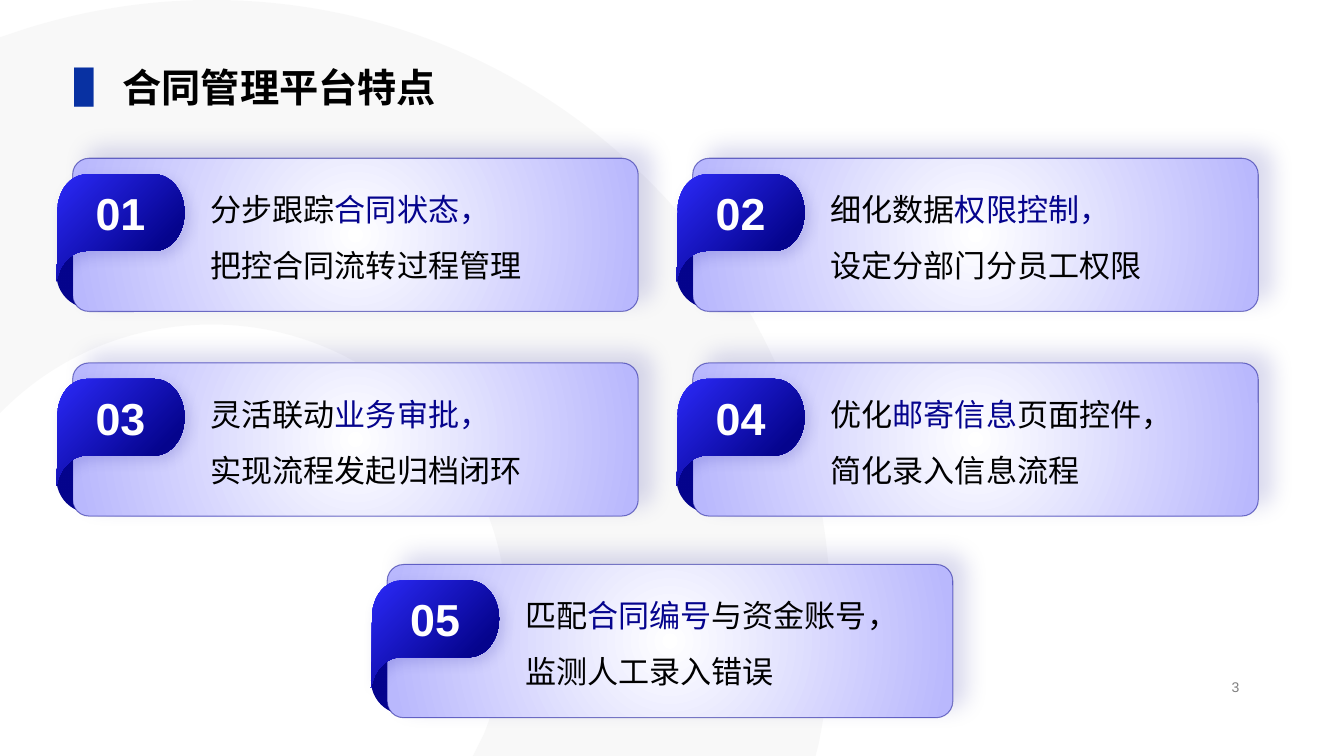
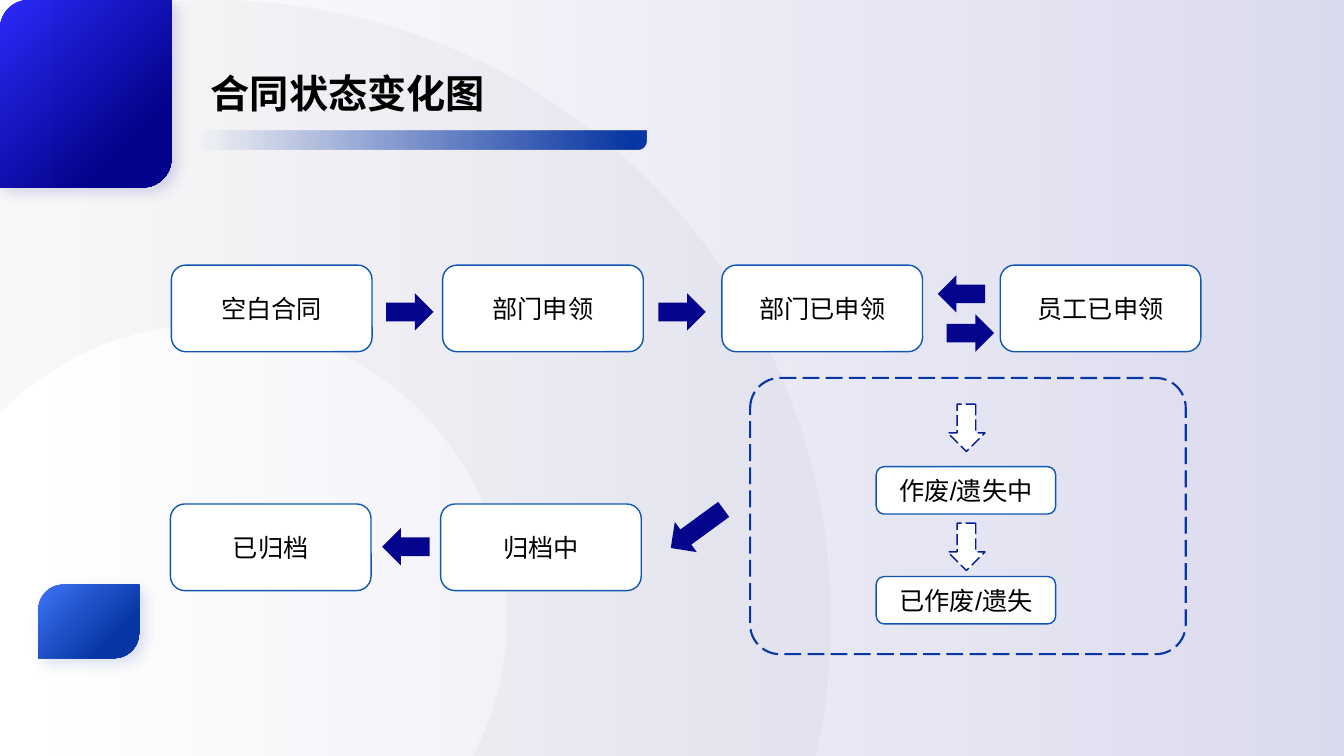
from dataclasses import dataclass

from pptx import Presentation
from pptx.dml.color import RGBColor
from pptx.enum.dml import MSO_LINE
from pptx.enum.shapes import MSO_SHAPE
from pptx.enum.text import MSO_ANCHOR, MSO_AUTO_SIZE, PP_ALIGN
from pptx.oxml import parse_xml
from pptx.oxml.ns import nsdecls, qn
from pptx.util import Pt

PX = 9144
WIDE, HIGH = 1333, 750
ROUND = MSO_SHAPE.ROUNDED_RECTANGLE
LEAF = MSO_SHAPE.ROUND_2_DIAG_RECTANGLE
ARROW = MSO_SHAPE.RIGHT_ARROW
DASH = MSO_LINE.LONG_DASH
LEFT, MID, RIGHT = PP_ALIGN.LEFT, PP_ALIGN.CENTER, PP_ALIGN.RIGHT
TOP, CENTER = MSO_ANCHOR.TOP, MSO_ANCHOR.MIDDLE
FIXED = MSO_AUTO_SIZE.NONE

BLACK = RGBColor(0x00, 0x00, 0x00)
WHITE = RGBColor(0xFF, 0xFF, 0xFF)
GRAY = RGBColor(0x80, 0x80, 0x80)
NAVY = RGBColor(0x05, 0x04, 0x8D)
VIVID = RGBColor(0x2C, 0x2A, 0xF9)
LILAC = RGBColor(0xB9, 0xB8, 0xFD)
ROYAL = RGBColor(0x08, 0x36, 0xA4)
SKY = RGBColor(0x3E, 0x74, 0xF6)
MARK = RGBColor(0x08, 0x31, 0xA2)
EDGE = RGBColor(0x10, 0x57, 0xB3)
INK = RGBColor(0x06, 0x1E, 0x99)

LATIN, HAN = "Arial", "Noto Sans CJK SC"
HEAD = {"name": LATIN, "size": Pt(28), "bold": True}
BODY = {"name": LATIN, "size": Pt(22.2)}
LABEL = {"name": LATIN, "size": Pt(18)}
NUMBER = {"name": LATIN, "size": Pt(32), "bold": True}
SMALL = {"name": LATIN, "size": Pt(10)}

RING = (
    (210, 0), (549, 0, 824, 275, 824, 614), (824, 657, 820, 698, 812, 738),
    (809, 750), (469, 750), (480, 728), (494, 693, 503, 655, 503, 614),
    (503, 453, 371, 322, 210, 322), (129, 322, 56, 354, 3, 407),
    (0, 410), (0, 37), (27, 28), (85, 10, 146, 0, 210, 0),
)
BADGE = (
    (30, 0), (97, 0), (114, 0, 127, 17, 127, 38), (127, 38),
    (127, 59, 114, 76, 97, 76), (30, 76), (30, 76), (17, 76, 6, 86, 2, 99),
    (0, 106), (1, 85, 1, 63, 1, 42), (2, 37, 0, 32, 3, 23), (7, 9, 18, 0, 30, 0),
)


@dataclass(frozen=True)
class Stop:
    pos: int
    color: RGBColor
    alpha: int = 100


@dataclass(frozen=True)
class Shade:
    color: RGBColor
    blur: int
    dist: int
    angle: int


@dataclass(frozen=True)
class Card:
    x: int
    y: int
    lead: str
    key: str
    rest: str
    foot: str


@dataclass(frozen=True)
class Step:
    x: int
    y: int
    text: str
    w: int = 199
    h: int = 86


@dataclass(frozen=True)
class Move:
    x: int
    y: int
    turn: float = 0
    w: int = 47
    open: bool = False


ROWS = (157, 360, 560)
COLS = (56, 671)
CARDS = (
    Card(COLS[0], ROWS[0], "分步跟踪", "合同状态，", "", "把控合同流转过程管理"),
    Card(COLS[1], ROWS[0], "细化数据", "权限控制，", "", "设定分部门分员工权限"),
    Card(COLS[0], ROWS[1], "灵活联动", "业务审批，", "", "实现流程发起归档闭环"),
    Card(COLS[1], ROWS[1], "优化", "邮寄信息", "页面控件，", "简化录入信息流程"),
    Card(368, ROWS[2], "匹配", "合同编号", "与资金账号，", "监测人工录入错误"),
)
STEPS = (
    Step(170, 263, "空白合同"), Step(439, 263, "部门申领"),
    Step(716, 263, "部门已申领"), Step(992, 263, "员工已申领"),
    Step(869, 463, "作废/遗失中", 178, 47), Step(869, 572, "已作废/遗失", 178, 47),
    Step(437, 500, "归档中"), Step(169, 500, "已归档"),
)
MOVES = (
    Move(383, 291), Move(653, 291), Move(939, 312), Move(930, 273, 180),
    Move(659, 506, 143.9, 65), Move(935, 406, 90, open=True),
    Move(935, 524, 90, open=True), Move(379, 524, 180),
)


def style(item, values: dict) -> None:
    for name, value in values.items():
        setattr(item, name, value)


def write(para, text: str, color: RGBColor, font: dict) -> None:
    run = para.add_run()
    run.text = text
    style(run.font, font)
    run.font.color.rgb = color
    props = run.font._element
    props.find(qn("a:latin")).addnext(
        parse_xml(f'<a:ea {nsdecls("a")} typeface="{HAN}"/>'))


def fade(node, alpha: int) -> None:
    node.append(parse_xml(f'<a:alpha {nsdecls("a")} val="{alpha * 1000}"/>'))


def blend(shape, stops: tuple, angle: int | None) -> None:
    marks = "".join(
        f'<a:gs pos="{s.pos * 1000}"><a:srgbClr val="{s.color}">'
        f'<a:alpha val="{s.alpha * 1000}"/></a:srgbClr></a:gs>' for s in stops)
    if angle is None:
        way = ('<a:path path="circle"><a:fillToRect l="50000" t="50000" '
               'r="50000" b="50000"/></a:path>')
    else:
        way = f'<a:lin ang="{angle * 60000}" scaled="0"/>'
    shape.fill.background()
    props = shape.element.spPr
    props.replace(props.find(qn("a:noFill")), parse_xml(
        f'<a:gradFill {nsdecls("a")} rotWithShape="1">'
        f'<a:gsLst>{marks}</a:gsLst>{way}</a:gradFill>'))


def shadow(shape, cast: Shade) -> None:
    shape.element.spPr.find(qn("a:effectLst")).append(parse_xml(
        f'<a:outerShdw {nsdecls("a")} blurRad="{Pt(cast.blur)}" dist="{Pt(cast.dist)}" '
        f'dir="{cast.angle * 60000}" algn="ctr" rotWithShape="0"><a:srgbClr val="{cast.color}">'
        '<a:alpha val="15000"/></a:srgbClr></a:outerShdw>'))


def paint(shape, fill: RGBColor | None = None, line: RGBColor | None = None,
          width: float = 1, dash=None) -> None:
    shape.shadow.inherit = False
    if fill is None:
        shape.fill.background()
    else:
        shape.fill.solid()
        shape.fill.fore_color.rgb = fill
    if line is None:
        shape.line.fill.background()
    else:
        shape.line.color.rgb = line
        style(shape.line, {"width": Pt(width), "dash_style": dash})


def block(shapes, kind, box: tuple, adjust: tuple = ()):
    shape = shapes.add_shape(kind, *(v * PX for v in box))
    for i, value in enumerate(adjust):
        shape.adjustments[i] = value
    paint(shape)
    return shape


def outline(shapes, route: tuple, x: int = 0, y: int = 0):
    spots = [((part[-2] + x) * PX, (part[-1] + y) * PX) for part in route]
    pen = shapes.build_freeform(*spots[0], scale=1.0)
    pen.add_line_segments(spots[1:], close=True)
    shape = pen.convert_to_shape()
    lines = list(shape.element.spPr.iter(qn("a:lnTo")))
    for line, part in zip(lines, route[1:]):
        if len(part) == 6:
            dots = "".join(f'<a:pt x="{a * PX}" y="{b * PX}"/>'
                           for a, b in zip(part[::2], part[1::2]))
            line.getparent().replace(line, parse_xml(
                f'<a:cubicBezTo {nsdecls("a")}>{dots}</a:cubicBezTo>'))
    paint(shape)
    return shape


def label(shapes, box: tuple, anchor=CENTER):
    frame = shapes.add_textbox(*(v * PX for v in box)).text_frame
    style(frame, {"word_wrap": True, "vertical_anchor": anchor})
    return frame


def title(slide, box: tuple, parts: tuple, font: dict, space: float) -> None:
    head = slide.shapes.title
    slide.shapes.element.append(head.element)
    style(head, dict(zip(("left", "top", "width", "height"), (v * PX for v in box))))
    style(head.text_frame, {"word_wrap": True, "auto_size": FIXED, "vertical_anchor": TOP})
    para = head.text_frame.paragraphs[0]
    style(para, {"alignment": LEFT, "line_spacing": space})
    for text, color in parts:
        write(para, text, color, font)


def tile(shapes, card: Card, rank: int) -> None:
    x, y = card.x, card.y
    group = shapes.add_group_shape().shapes
    paint(block(group, ROUND, (x, y + 81, 93, 68), (0.5,)), NAVY)
    panel = block(group, ROUND, (x + 16, y, 561, 152), (0.107,))
    paint(panel, WHITE, NAVY, 0.75)
    fade(panel.element.spPr.find(qn("a:ln")).find(".//" + qn("a:srgbClr")), 50)
    blend(panel, (Stop(0, WHITE), Stop(97, LILAC)), None)
    shadow(panel, Shade(NAVY, 16, 12, 321))
    frame = label(group, (x + 143, y + 8, 437, 122))
    first, last = frame.paragraphs[0], frame.add_paragraph()
    for para in (first, last):
        para.line_spacing = 1.5
    for text, color in ((card.lead, BLACK), (card.key, NAVY), (card.rest, BLACK)):
        if text:
            write(first, text, color, BODY)
    write(last, card.foot, BLACK, BODY)
    badge = outline(group, BADGE, x, y + 16)
    blend(badge, (Stop(0, VIVID), Stop(75, NAVY)), 45)
    shadow(badge, Shade(NAVY, 10, 5, 45))
    style(badge.text_frame, {"vertical_anchor": CENTER, "margin_bottom": 35 * PX})
    para = badge.text_frame.paragraphs[0]
    para.alignment = MID
    write(para, f"{rank:02}", WHITE, NUMBER)


def traits(slide) -> None:
    shapes = slide.shapes
    para = label(shapes, (921, 670, 318, 23)).paragraphs[0]
    para.alignment = RIGHT
    write(para, "3", GRAY, SMALL)
    title(slide, (64, 63, 1187, 112), (("▌ ", MARK), ("合同管理平台特点", BLACK)),
          HEAD | {"name": HAN}, 0.9)
    for rank, card in enumerate(CARDS, 1):
        tile(shapes, card, rank)


def states(slide) -> None:
    shapes = slide.shapes
    for box, bend, light, dark in (((38, 580, 100, 73), 0.341, SKY, ROYAL),
                                   ((0, 0, 170, 186), 0.167, VIVID, NAVY)):
        leaf = block(shapes, LEAF, box, (bend, 0))
        blend(leaf, (Stop(0, light), Stop(75, dark)), 45)
        shadow(leaf, Shade(dark, 10, 5, 45))
    veil = block(shapes, ROUND, (0, 0, WIDE, HIGH), (0,))
    blend(veil, (Stop(0, NAVY, 0), Stop(100, NAVY, 15)), 0)
    band = block(shapes, LEAF, (199, 130, 442, 18), (0.5, 0))
    blend(band, (Stop(0, ROYAL, 0), Stop(97, ROYAL)), 0)
    title(slide, (199, 64, 334, 57), (("合同状态变化图", BLACK),), HEAD, 1.0)
    for step in STEPS:
        box = block(shapes, ROUND, (step.x, step.y, step.w, step.h))
        paint(box, WHITE, EDGE)
        box.text_frame.vertical_anchor = CENTER
        para = box.text_frame.paragraphs[0]
        para.alignment = MID
        write(para, step.text, BLACK, LABEL)
    for move in MOVES:
        arrow = block(shapes, ARROW, (move.x, move.y, move.w, 37))
        arrow.rotation = move.turn
        if move.open:
            paint(arrow, WHITE, INK, 1, DASH)
        else:
            paint(arrow, NAVY)
    paint(block(shapes, ROUND, (744, 375, 432, 274), (0.108,)), None, ROYAL, 1.5, DASH)


def main() -> None:
    deck = Presentation()
    style(deck, {"slide_width": WIDE * PX, "slide_height": HIGH * PX})
    base = deck.slide_layouts[5]
    pages = [deck.slides.add_slide(base) for _ in range(2)]
    ring = outline(pages[0].shapes, RING)
    paint(ring, GRAY)
    fade(ring.element.spPr.find(qn("a:solidFill"))[0], 5)
    base.shapes.element.insert(2, ring.element)
    for page, draw in zip(pages, (traits, states)):
        draw(page)
    deck.save("out.pptx")


if __name__ == "__main__":
    main()
